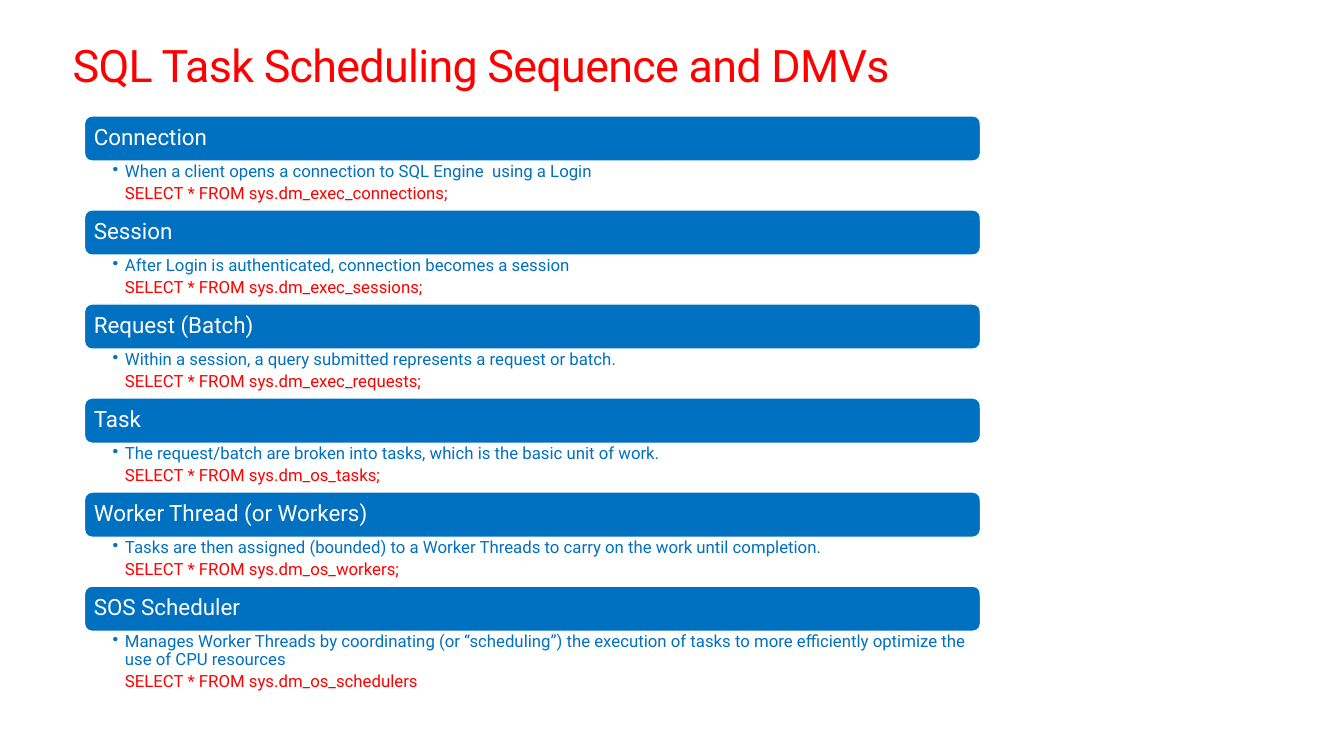
"""Build the slide on the SQL task scheduling sequence and its DMVs."""
from lxml import etree
from pptx import Presentation
from pptx.dml.color import RGBColor
from pptx.enum import shapes, text
from pptx.oxml.ns import qn
from pptx.util import Cm, Pt

COLOURS = {"blue": "0070C0", "red": "FF0000", "white": "FFFFFF"}
STEPS = [
    ("Connection", "When a client opens a connection to SQL Engine  using a Login",
     "SELECT * FROM sys.dm_exec_connections;"),
    ("Session", "After Login is authenticated, connection becomes a session",
     "SELECT * FROM sys.dm_exec_sessions;"),
    ("Request (Batch)", "Within a session, a query submitted represents a request or batch.",
     "SELECT * FROM sys.dm_exec_requests;"),
    ("Task", "The request/batch are broken into tasks, which is the basic unit of work.",
     "SELECT * FROM sys.dm_os_tasks;"),
    ("Worker Thread (or Workers)",
     "Tasks are then assigned (bounded) to a Worker Threads to carry on the work until completion.",
     "SELECT * FROM sys.dm_os_workers;"),
    ("SOS Scheduler",
     "Manages Worker Threads by coordinating (or “scheduling”) the execution of tasks "
     "to more efficiently optimize the use of CPU resources",
     "SELECT * FROM sys.dm_os_schedulers"),
]
LEFT, TOP, WIDTH = 2.13, 2.92, 22.58
BAR_HEIGHT, PITCH = 1.14, 2.37


def set_font(paragraph, size, colour):
    paragraph.alignment = text.PP_ALIGN.LEFT
    paragraph.font.name = "Roboto"
    paragraph.font.size = Pt(size)
    paragraph.font.color.rgb = RGBColor.from_string(COLOURS[colour])


def set_frame(frame, left, top, right, bottom, anchor):
    frame.word_wrap = True
    frame.auto_size = text.MSO_AUTO_SIZE.NONE
    frame.vertical_anchor = anchor
    frame.margin_left, frame.margin_top = Cm(left), Cm(top)
    frame.margin_right, frame.margin_bottom = Cm(right), Cm(bottom)


prs = Presentation()
prs.slide_width, prs.slide_height = Cm(33.87), Cm(19.05)
slide = prs.slides.add_slide(prs.slide_layouts[5])

title = slide.shapes.title
title.left, title.top, title.width, title.height = Cm(1.83), Cm(1.04), Cm(30.23), Cm(1.27)
set_frame(title.text_frame, 0, 0, 0, 0, text.MSO_ANCHOR.TOP)
heading = title.text_frame.paragraphs[0]
heading.line_spacing = Pt(36.2)
heading_run = heading.add_run()
heading_run.text = "SQL Task Scheduling Sequence and DMVs"
heading_run._r.get_or_add_rPr().set("spc", "-50")
set_font(heading, 32, "red")

for index, (step, meaning, query) in enumerate(STEPS):
    top = TOP + index * PITCH
    bar = slide.shapes.add_shape(shapes.MSO_SHAPE.ROUNDED_RECTANGLE,
                                 Cm(LEFT), Cm(top), Cm(WIDTH), Cm(BAR_HEIGHT))
    bar.shadow.inherit = False
    bar.fill.solid()
    bar.fill.fore_color.rgb = RGBColor.from_string(COLOURS["blue"])
    bar.line.color.rgb = RGBColor.from_string(COLOURS["white"])
    bar.line.width = Pt(1)
    set_frame(bar.text_frame, 0.18, 0.18, 0.18, 0.18, text.MSO_ANCHOR.MIDDLE)
    bar.text_frame.text = step
    bar.text_frame.paragraphs[0].line_spacing = 0.9
    set_font(bar.text_frame.paragraphs[0], 16, "white")

    details_height = 1.75 if step == "SOS Scheduler" else 1.22
    details = slide.shapes.add_textbox(Cm(LEFT), Cm(top + BAR_HEIGHT),
                                       Cm(WIDTH), Cm(details_height)).text_frame
    set_frame(details, 0.71, 0.05, 0.23, 0.05, text.MSO_ANCHOR.TOP)
    details.text = f"{meaning}\n{query}"
    for paragraph, colour in zip(details.paragraphs, ("blue", "red")):
        paragraph.line_spacing = 0.9
        paragraph.space_after = Pt(2.6)
        properties = paragraph._p.get_or_add_pPr()
        properties.set("marL", str(Cm(0.31)))
        properties.set("indent", str(Cm(-0.31 if colour == "blue" else 0)))
        if colour == "blue":
            etree.SubElement(properties, qn("a:buChar")).set("char", "•")
        set_font(paragraph, 12, colour)

prs.save("out.pptx")
